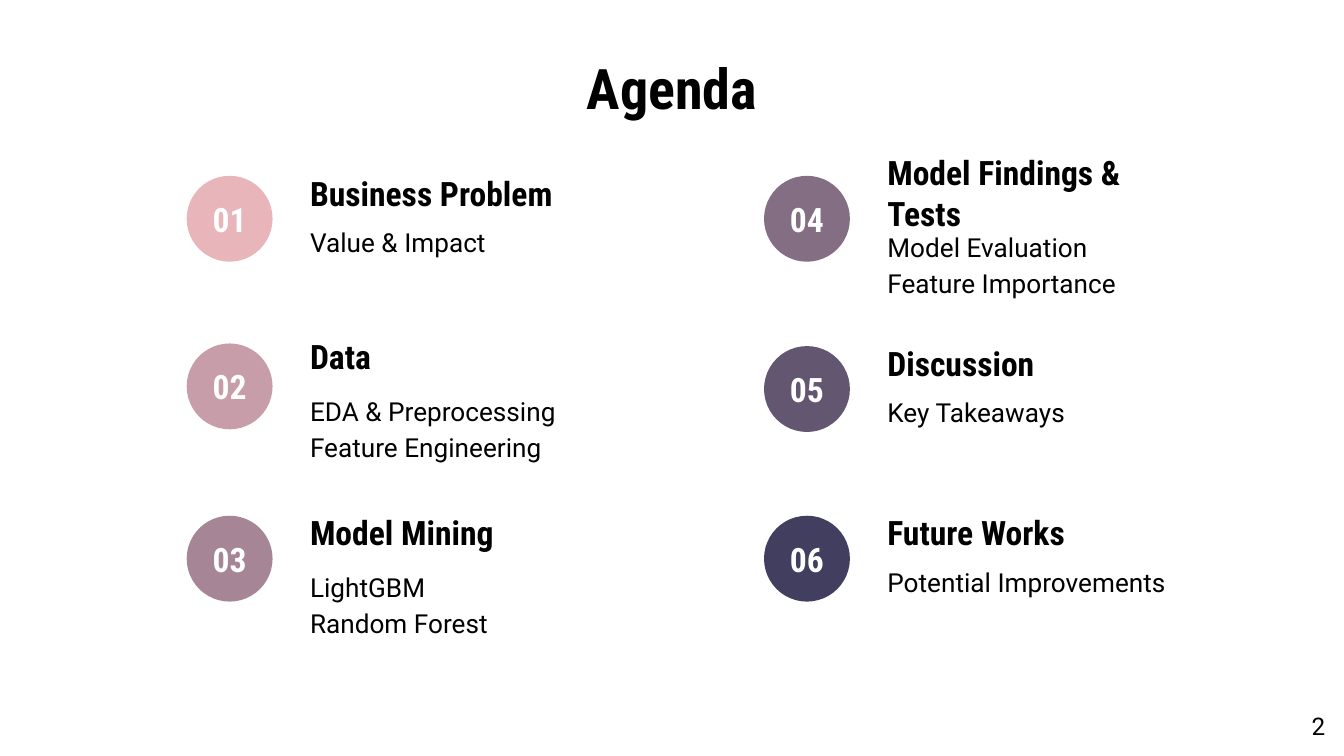
from collections import namedtuple

from pptx import Presentation
from pptx.dml.color import RGBColor
from pptx.enum.shapes import MSO_SHAPE as Shape
from pptx.enum.text import MSO_ANCHOR as Anchor, PP_ALIGN as Align
from pptx.util import Pt

BLACK = RGBColor(0x00, 0x00, 0x00)
WHITE = RGBColor(0xFF, 0xFF, 0xFF)
ROSE = RGBColor(0xE8, 0xB5, 0xBB)
MAUVE = RGBColor(0xC7, 0x9D, 0xA9)
DUSK = RGBColor(0xA6, 0x85, 0x96)
PLUM = RGBColor(0x84, 0x6E, 0x84)
VIOLET = RGBColor(0x63, 0x56, 0x71)
INDIGO = RGBColor(0x42, 0x3E, 0x5F)

HEADING_FONT = "Roboto Condensed"
BODY_FONT = "Roboto"
BADGE_SIZE = 46
TEXT_INDENT = 59
HEADING_HEIGHT = 22

Box = namedtuple("Box", "left top width height")
Topic = namedtuple("Topic", "heading lines color top badge_drop", defaults=[2])

COLUMNS = [
    (100, 221, [
        Topic("Business Problem", ["Value & Impact"], ROSE, 92.2),
        Topic("Data", ["EDA & Preprocessing", "Feature Engineering"], MAUVE, 180, 4),
        Topic("Model Mining", ["LightGBM", "Random Forest"], DUSK, 274.3),
    ]),
    (409.3, 231, [
        Topic("Model Findings & Tests", ["Model Evaluation", "Feature Importance"], PLUM, 92.2),
        Topic("Discussion", ["Key Takeaways"], VIOLET, 183.4),
        Topic("Future Works", ["Potential Improvements"], INDIGO, 274.3),
    ]),
]


def write(shape, lines, font_name, size, color=BLACK, bold=False,
          align=Align.LEFT, anchor=Anchor.TOP, spacing=1):
    """Fill a shape with evenly formatted paragraphs."""
    frame = shape.text_frame
    frame.word_wrap = True
    frame.vertical_anchor = anchor
    frame.margin_left = frame.margin_right = Pt(7.2)
    frame.margin_top = frame.margin_bottom = Pt(7.2)
    frame.text = "\n".join(lines)
    for para in frame.paragraphs:
        para.alignment = align
        para.line_spacing = spacing
        para.font.name = font_name
        para.font.size = Pt(size)
        para.font.bold = bold
        para.font.color.rgb = color


def add_title(page, box, text):
    """Place the slide title in its placeholder."""
    title = page.shapes.title
    title.left, title.top, title.width, title.height = map(Pt, box)
    write(title, [text], HEADING_FONT, 30, bold=True,
          align=Align.CENTER, anchor=Anchor.MIDDLE)


def add_topic(page, box, number, topic):
    """Draw a numbered badge with its heading and details as one group."""
    shapes = page.shapes.add_group_shape().shapes
    text_left = box.left + TEXT_INDENT
    text_width = box.width - TEXT_INDENT

    heading = shapes.add_textbox(*map(Pt, (text_left, box.top, text_width, HEADING_HEIGHT)))
    write(heading, [topic.heading], HEADING_FONT, 18, bold=True, anchor=Anchor.MIDDLE)

    details = shapes.add_textbox(*map(Pt, (text_left, box.top + HEADING_HEIGHT,
                                           text_width, box.height - HEADING_HEIGHT)))
    write(details, topic.lines, BODY_FONT, 14,
          spacing=1.15 if len(topic.lines) > 1 else 1)

    badge = shapes.add_shape(Shape.OVAL, *map(Pt, (box.left, box.top + topic.badge_drop,
                                                   BADGE_SIZE, BADGE_SIZE)))
    badge.shadow.inherit = False
    badge.fill.solid()
    badge.fill.fore_color.rgb = topic.color
    badge.line.fill.background()
    write(badge, [f"{number:02}"], HEADING_FONT, 18, WHITE, True,
          Align.CENTER, Anchor.MIDDLE)


def add_page_number(page, box, number):
    """Put the page number in the bottom corner."""
    label = page.shapes.add_textbox(*map(Pt, box))
    write(label, [str(number)], BODY_FONT, 13, align=Align.RIGHT)


def main():
    """Build the agenda slide."""
    deck = Presentation()
    deck.slide_width, deck.slide_height = Pt(720), Pt(405)
    page = deck.slides.add_slide(deck.slide_layouts[5])

    add_title(page, Box(36, 29.5, 648, 34), "Agenda")
    number = 0
    for left, width, topics in COLUMNS:
        for topic in topics:
            number += 1
            height = HEADING_HEIGHT + (68 if len(topic.lines) > 1 else 32)
            add_topic(page, Box(left, topic.top, width, height), number, topic)
    add_page_number(page, Box(674, 373.7, 43, 31), 2)
    deck.save("out.pptx")


if __name__ == "__main__":
    main()
